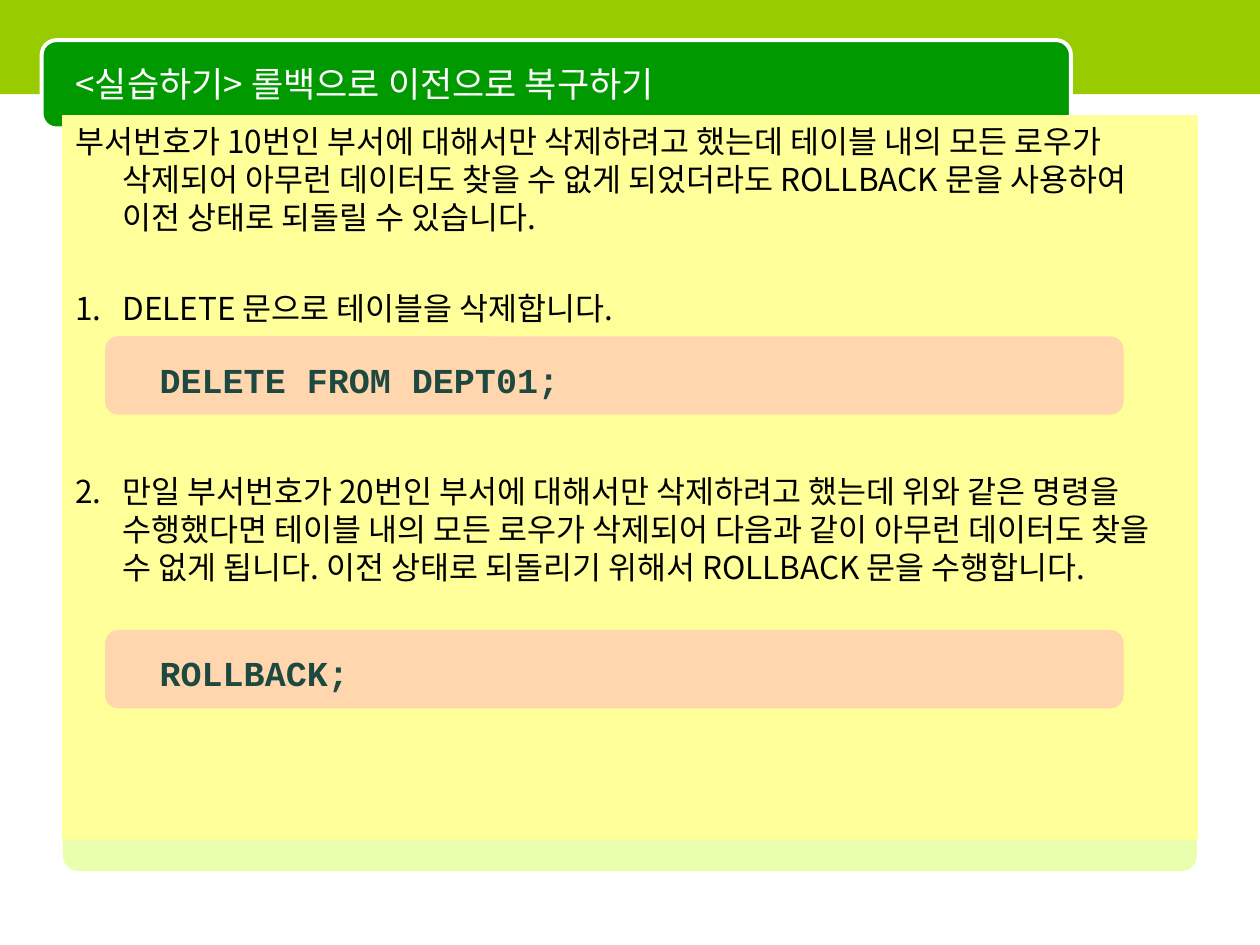
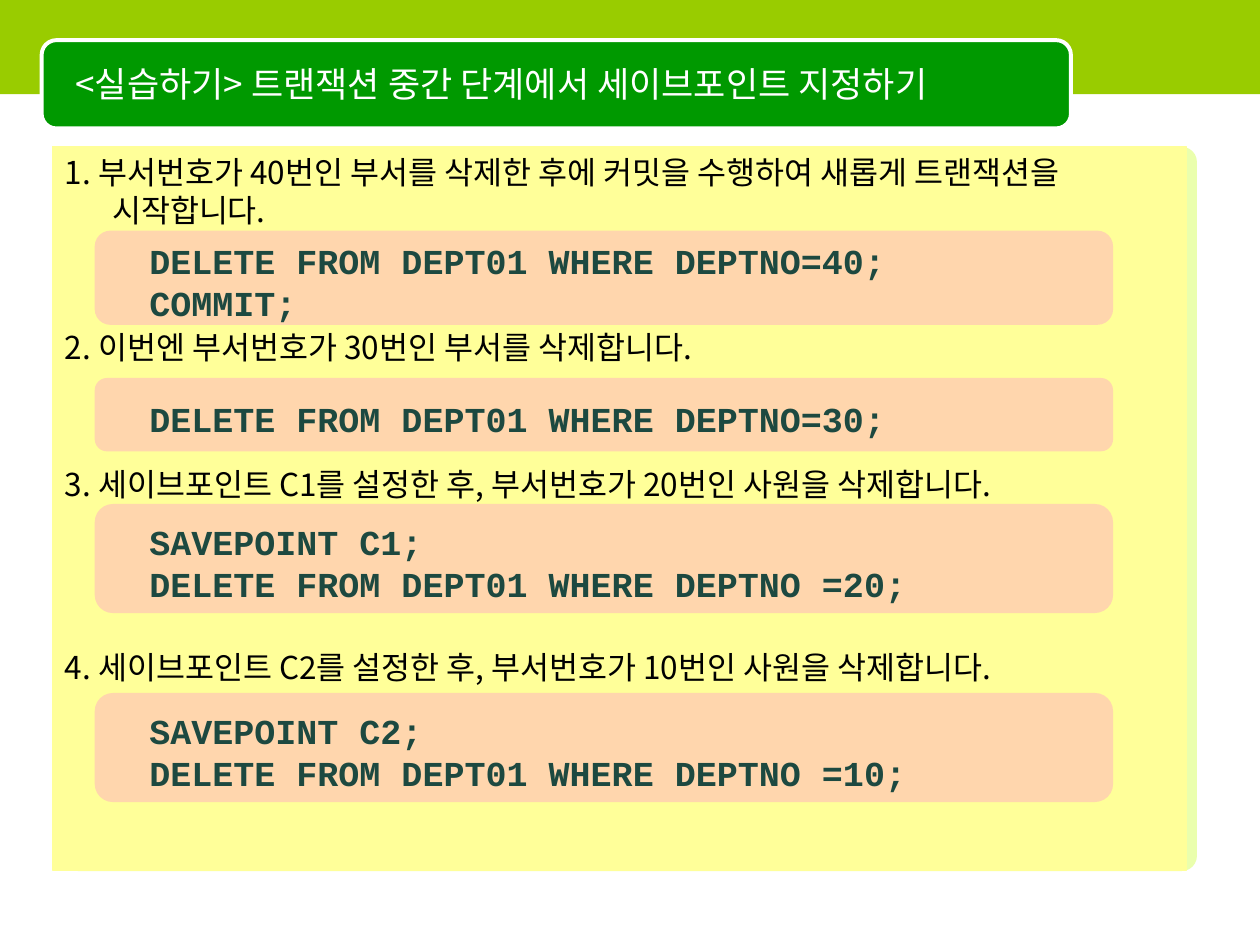
from collections import namedtuple
from dataclasses import dataclass

from lxml import etree
from pptx import Presentation
from pptx import util as u
from pptx.dml.color import RGBColor
from pptx.enum import shapes, text
from pptx.oxml.ns import qn

Box = namedtuple("Box", "left top width height")
Style = namedtuple("Style", "font size color bold")
Step = namedtuple("Step", "words blank_lines numbered", defaults=(0, False))
Code = namedtuple("Code", "top height lines")


@dataclass(frozen=True)
class Theme:
    band: str = "99CC00"
    banner: str = "009900"
    banner_line: str = "FFFFFF"
    backing: str = "CCFF33"
    body: str = "FFFF99"
    code: str = "FF99CC"
    veil: int = 40
    title_style: Style = Style("Noto Sans CJK KR", 20, "FFFFFF", False)
    body_style: Style = Style("Noto Sans CJK KR", 18, "000000", False)
    code_style: Style = Style("Courier New", 20, "1D4940", True)
    line_ratio: float = 1.2
    step_gap: float = 4.5


THEME = Theme()
RECT = shapes.MSO_SHAPE.RECTANGLE
ROUND = shapes.MSO_SHAPE.ROUNDED_RECTANGLE


def assign(target, values):
    for name, value in values.items():
        setattr(target, name, value)


def lengths(box):
    return [u.Cm(value) for value in box]


def add_panel(parent, kind, box, fill, corner=None, opacity=None, line=None, weight=0):
    panel = parent.add_shape(kind, *lengths(box))
    panel.shadow.inherit = False
    panel.fill.solid()
    panel.fill.fore_color.rgb = RGBColor.from_string(fill)
    if corner is not None:
        panel.adjustments[0] = corner
    if opacity is not None:
        color = panel.element.spPr.find(qn("a:solidFill"))[0]
        etree.SubElement(color, qn("a:alpha"), val=str(opacity * 1000))
    if line:
        panel.line.color.rgb = RGBColor.from_string(line)
        panel.line.width = u.Pt(weight)
    else:
        panel.line.fill.background()
    return panel


def set_frame(frame, anchor, top=0.13):
    assign(frame, {
        "word_wrap": True,
        "auto_size": text.MSO_AUTO_SIZE.NONE,
        "vertical_anchor": anchor,
        "margin_left": u.Cm(0.25),
        "margin_right": u.Cm(0.25),
        "margin_top": u.Cm(top),
        "margin_bottom": u.Cm(0.13),
    })


def write_paras(frame, lines, style):
    for index, line in enumerate(lines):
        para = frame.add_paragraph() if index else frame.paragraphs[0]
        para.alignment = text.PP_ALIGN.LEFT
        span = para.add_run()
        span.text = line
        assign(span.font, {"name": style.font, "size": u.Pt(style.size), "bold": style.bold})
        span.font.color.rgb = RGBColor.from_string(style.color)
        etree.SubElement(span.font._element, qn("a:ea"), typeface=style.font)
    return frame.paragraphs


def add_header(page, box, title):
    add_panel(page.shapes, RECT, Box(0, 0, 25.4, 1.9), THEME.band)
    add_panel(page.shapes, ROUND, box, THEME.banner, 0.167,
              line=THEME.banner_line, weight=2.25)
    title_box = Box(box.left + 0.43, box.top + 0.08, box.width - 0.64, box.height - 0.2)
    frame = page.shapes.add_textbox(*lengths(title_box)).text_frame
    set_frame(frame, text.MSO_ANCHOR.MIDDLE)
    write_paras(frame, [title], THEME.title_style)


def add_steps(page, box, steps):
    panel = add_panel(page.shapes, RECT, box, THEME.body, line=THEME.body, weight=0.75)
    set_frame(panel.text_frame, text.MSO_ANCHOR.TOP)
    style = THEME.body_style
    pitch = style.size * THEME.line_ratio
    paras = write_paras(panel.text_frame, [step.words for step in steps], style)
    for para, step in zip(paras, steps):
        gap = THEME.step_gap + step.blank_lines * (pitch + THEME.step_gap)
        assign(para, {"line_spacing": u.Pt(pitch), "space_before": u.Pt(gap)})
        layout = para._p.get_or_add_pPr()
        indent = u.Cm(0.95)
        layout.set("marL", str(indent))
        layout.set("indent", str(-indent))
        if step.numbered:
            etree.SubElement(layout, qn("a:buFont"), typeface=style.font)
            etree.SubElement(layout, qn("a:buAutoNum"), type="arabicPeriod")


def add_code(page, box, lines):
    group = page.shapes.add_group_shape().shapes
    add_panel(group, ROUND, box, THEME.code, 0.167, THEME.veil)
    style = THEME.code_style
    pitch = style.size * THEME.line_ratio
    height = u.Pt(pitch * len(lines)).cm + 0.26
    code_box = Box(box.left + 0.85, box.top + (box.height - height) / 2, 18.85, height)
    frame = group.add_textbox(*lengths(code_box)).text_frame
    set_frame(frame, text.MSO_ANCHOR.TOP, top=0.2)
    for para in write_paras(frame, lines, style):
        para.line_spacing = u.Pt(pitch)


def add_practice(deck, title, body, steps, codes):
    page = deck.slides.add_slide(deck.slide_layouts[6])
    add_panel(page.shapes, ROUND, Box(1.27, 2.96, 22.86, 14.6), THEME.backing, 0.021, THEME.veil)
    add_header(page, Box(0.84, 0.81, 20.75, 1.78), title)
    add_steps(page, body, steps)
    for code in codes:
        box = Box(body.left + 0.85, body.top + code.top, 20.53, code.height)
        add_code(page, box, code.lines)


def main():
    deck = Presentation()
    assign(deck, {"slide_width": u.Cm(25.4), "slide_height": u.Cm(19.05)})
    add_practice(
        deck,
        "<실습하기> 롤백으로 이전으로 복구하기",
        Box(1.27, 2.34, 22.86, 14.58),
        [
            Step("부서번호가 10번인 부서에 대해서만 삭제하려고 했는데 테이블 내의 모든 로우가 "
                 "삭제되어 아무런 데이터도 찾을 수 없게 되었더라도 ROLLBACK 문을 사용하여 "
                 "이전 상태로 되돌릴 수 있습니다."),
            Step("DELETE 문으로 테이블을 삭제합니다.", 1, True),
            Step("만일 부서번호가 20번인 부서에 대해서만 삭제하려고 했는데 위와 같은 명령을 "
                 "수행했다면 테이블 내의 모든 로우가 삭제되어 다음과 같이 아무런 데이터도 찾을 "
                 "수 없게 됩니다. 이전 상태로 되돌리기 위해서 ROLLBACK 문을 수행합니다.", 3, True),
        ],
        [
            Code(4.44, 1.58, ["DELETE FROM DEPT01;"]),
            Code(10.36, 1.58, ["ROLLBACK;"]),
        ],
    )
    add_practice(
        deck,
        "<실습하기> 트랜잭션 중간 단계에서 세이브포인트 지정하기",
        Box(1.06, 2.96, 22.86, 14.58),
        [
            Step("1. 부서번호가 40번인 부서를 삭제한 후에 커밋을 수행하여 새롭게 트랜잭션을 시작합니다."),
            Step("2. 이번엔 부서번호가 30번인 부서를 삭제합니다.", 2),
            Step("3. 세이브포인트 C1를 설정한 후, 부서번호가 20번인 사원을 삭제합니다.", 2),
            Step("4. 세이브포인트 C2를 설정한 후, 부서번호가 10번인 사원을 삭제합니다.", 3),
        ],
        [
            Code(1.69, 1.9, ["DELETE FROM DEPT01 WHERE DEPTNO=40;", "COMMIT;"]),
            Code(4.66, 1.48, ["DELETE FROM DEPT01 WHERE DEPTNO=30;"]),
            Code(7.2, 2.2, ["SAVEPOINT C1;", "DELETE FROM DEPT01 WHERE DEPTNO =20;"]),
            Code(11.01, 2.2, ["SAVEPOINT C2;", "DELETE FROM DEPT01 WHERE DEPTNO =10;"]),
        ],
    )
    deck.save("out.pptx")


if __name__ == "__main__":
    main()
